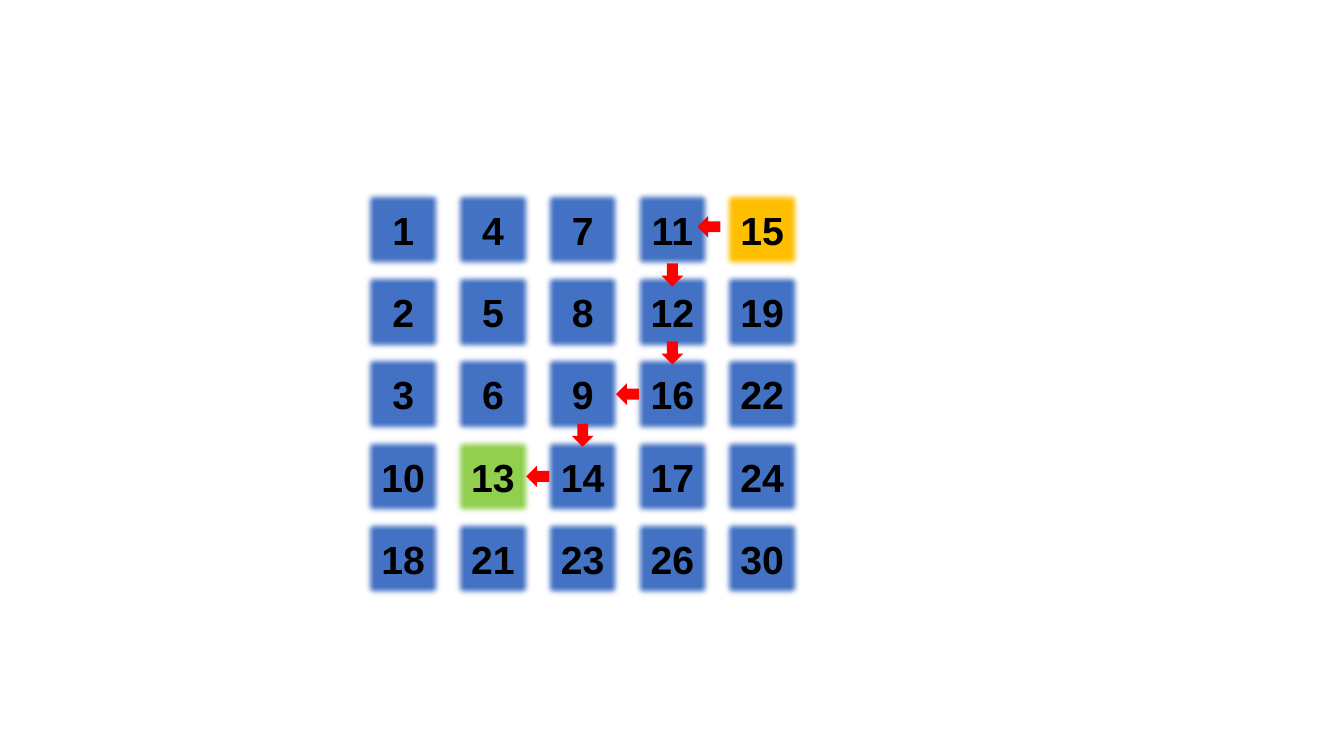
"""Build a slide with a number grid and the search path from 15 to 13."""
from dataclasses import dataclass

from lxml.etree import SubElement
from pptx import Presentation
from pptx.dml.color import RGBColor
from pptx.enum.shapes import MSO_SHAPE
from pptx.enum.text import MSO_ANCHOR, PP_ALIGN
from pptx.oxml.ns import qn
from pptx.shapes.autoshape import Shape
from pptx.shapes.shapetree import GroupShapes
from pptx.util import Pt

COLORS = {
    "cell": "4472C4",
    "start": "FFC000",
    "target": "92D050",
    "step": "FF0000",
    "number": "000000",
}
NUMBERS = [
    [1, 4, 7, 11, 15],
    [2, 5, 8, 12, 19],
    [3, 6, 9, 16, 22],
    [10, 13, 14, 17, 24],
    [18, 21, 23, 26, 30],
]
HIGHLIGHTS = {15: "start", 13: "target"}
GRID_LEFT, GRID_TOP = 258.5, 134.5
COLUMN_PITCH, ROW_PITCH = 64.1, 58.75
CELL_SIZE = 59
SOFT_EDGE = 5
STEP_LENGTH, STEP_WIDTH = 16.5, 15.5


@dataclass(frozen=True)
class Cell:
    number: int
    row: int
    column: int

    @property
    def left(self) -> float:
        return GRID_LEFT + self.column * COLUMN_PITCH

    @property
    def top(self) -> float:
        return GRID_TOP + self.row * ROW_PITCH


@dataclass(frozen=True)
class Step:
    origin: int
    destination: int
    shift_x: float = 0
    shift_y: float = 0


CELLS = {
    number: Cell(number, row, column)
    for row, numbers in enumerate(NUMBERS)
    for column, number in enumerate(numbers)
}
STEPS = [
    Step(15, 11, -6, -2),
    Step(11, 12, 0, 3),
    Step(12, 16),
    Step(16, 9),
    Step(9, 14),
    Step(14, 13),
]


def paint(figure: Shape, color: str) -> None:
    figure.shadow.inherit = False
    figure.fill.solid()
    figure.fill.fore_color.rgb = RGBColor.from_string(COLORS[color])
    figure.line.fill.background()


def draw_cell(shapes: GroupShapes, cell: Cell) -> None:
    tile = shapes.add_shape(
        MSO_SHAPE.RECTANGLE, Pt(cell.left), Pt(cell.top), Pt(CELL_SIZE), Pt(CELL_SIZE)
    )
    paint(tile, HIGHLIGHTS.get(cell.number, "cell"))
    effects = tile.element.spPr.find(qn("a:effectLst"))
    SubElement(effects, qn("a:softEdge"), rad=str(Pt(SOFT_EDGE)))

    tile.text_frame.text = str(cell.number)
    tile.text_frame.vertical_anchor = MSO_ANCHOR.MIDDLE
    label = tile.text_frame.paragraphs[0]
    label.alignment = PP_ALIGN.CENTER
    font = label.runs[0].font
    font.name = "Arial"
    font.size = Pt(28)
    font.bold = True
    font.color.rgb = RGBColor.from_string(COLORS["number"])


def draw_step(shapes: GroupShapes, step: Step) -> None:
    origin, destination = CELLS[step.origin], CELLS[step.destination]
    center_x = (origin.left + destination.left + CELL_SIZE) / 2 + step.shift_x
    center_y = (origin.top + destination.top + CELL_SIZE) / 2 + step.shift_y
    arrow = shapes.add_shape(
        MSO_SHAPE.RIGHT_ARROW,
        Pt(center_x - STEP_LENGTH / 2),
        Pt(center_y - STEP_WIDTH / 2),
        Pt(STEP_LENGTH),
        Pt(STEP_WIDTH),
    )
    arrow.rotation = 180 if origin.row == destination.row else 90
    paint(arrow, "step")


def main() -> None:
    presentation = Presentation()
    presentation.slide_width = Pt(960)
    presentation.slide_height = Pt(540)
    slide = presentation.slides.add_slide(presentation.slide_layouts[6])
    grid = slide.shapes.add_group_shape()
    for cell in CELLS.values():
        draw_cell(grid.shapes, cell)
    for step in STEPS:
        draw_step(grid.shapes, step)
    presentation.save("out.pptx")


if __name__ == "__main__":
    main()
